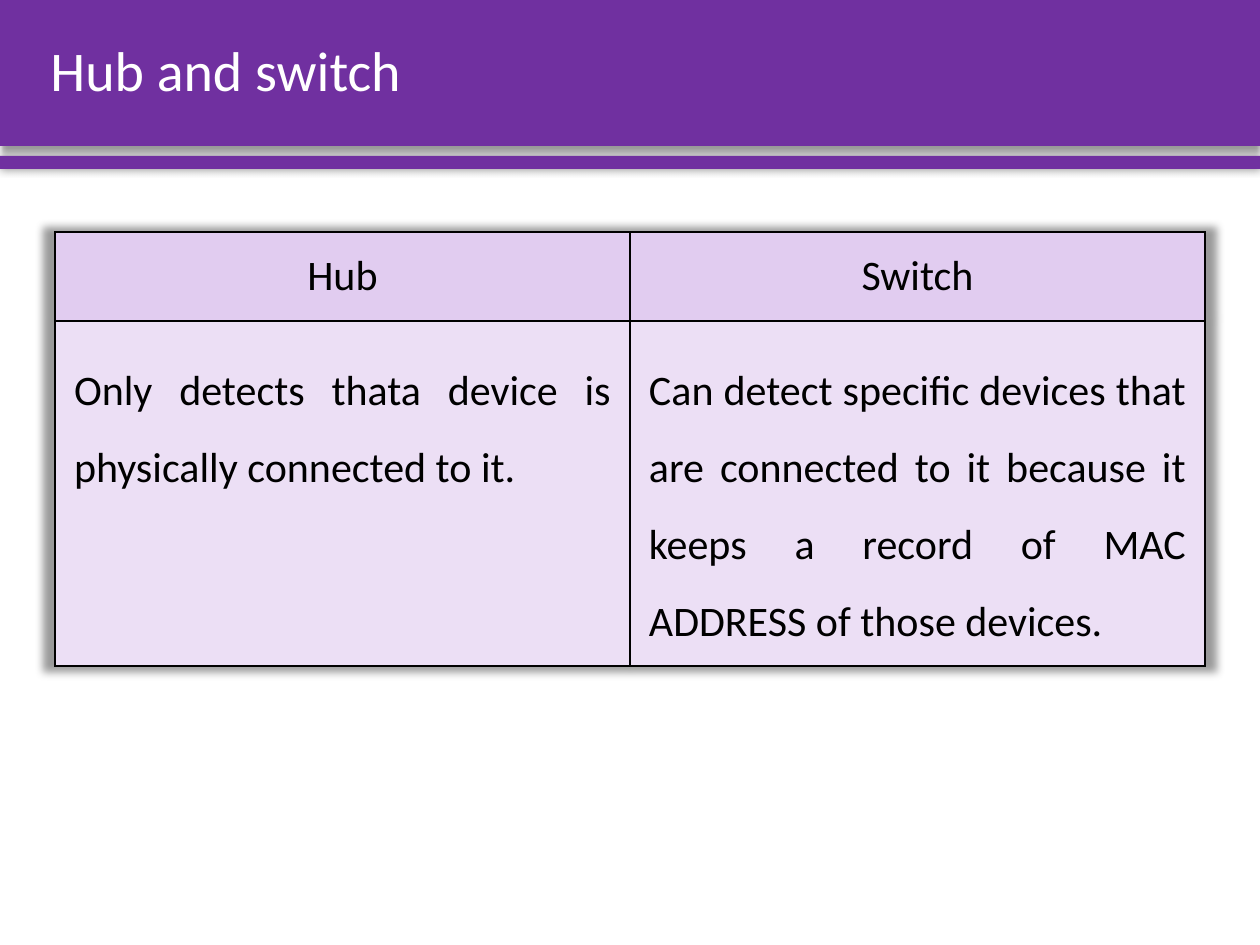
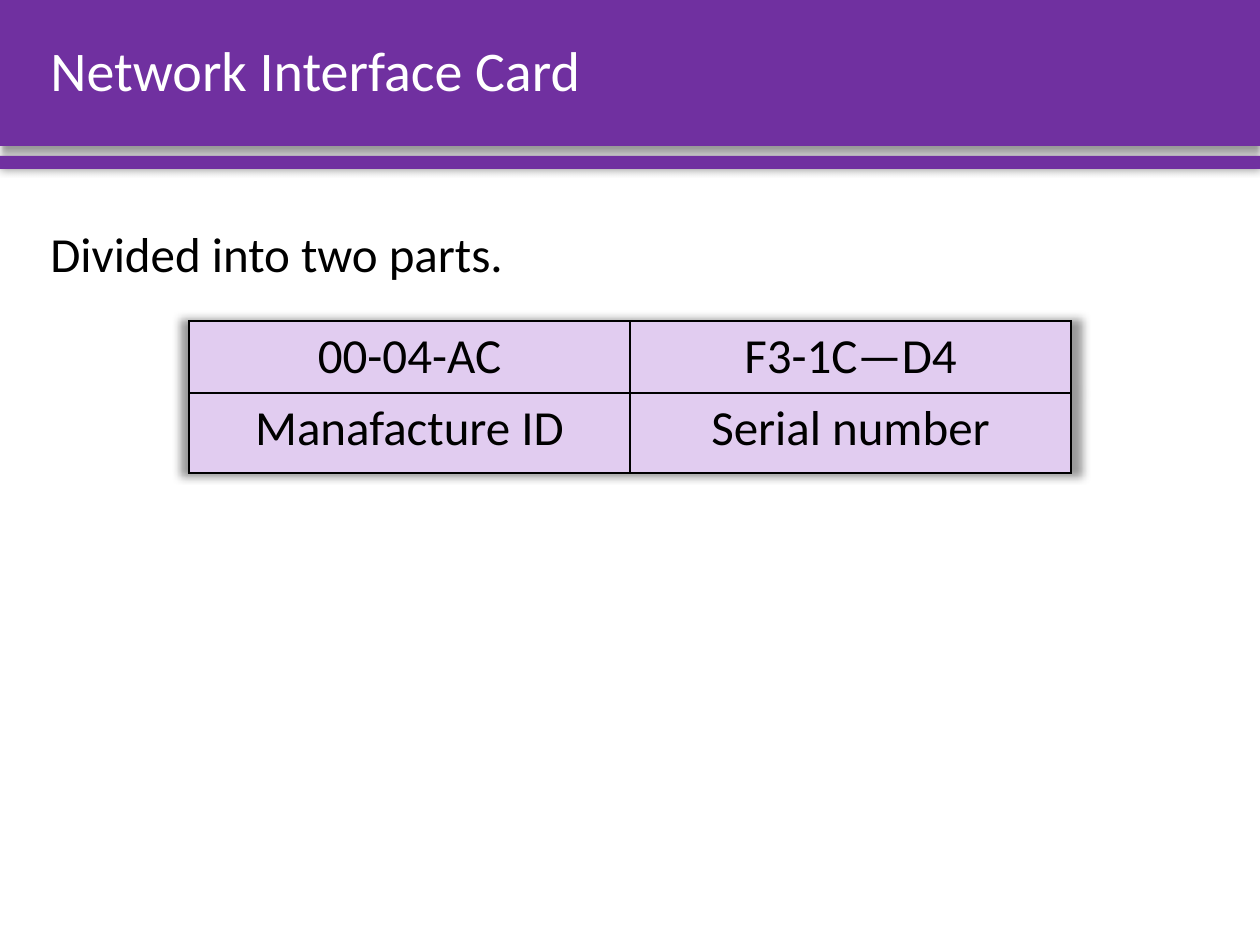
"""Builds two slides on hubs, switches and network interface cards."""
from lxml import etree
from pptx import Presentation
from pptx import util as u
from pptx.dml.color import RGBColor
from pptx.enum import shapes, text
from pptx.oxml.ns import qn

PX_PER_INCH = 126
FONT = "Calibri"
COLOURS = {
    "band": "7030A0",
    "title": "FFFFFF",
    "ink": "000000",
    "header": "E1CCF0",
    "cell": "ECDFF5",
}
LEFT, TEXT_WIDTH, BAND_HEIGHT = 38, 1192, 146
CENTRE, JUSTIFY = text.PP_ALIGN.CENTER, text.PP_ALIGN.JUSTIFY


def px(length):
    """Turn pixels into EMU."""
    return u.Inches(length / PX_PER_INCH)


def colour(name):
    """Return the named colour."""
    return RGBColor.from_string(COLOURS[name])


def add_shadow(effects, blur, distance=0, angle=0, scale=100):
    """Put a soft outer shadow in an effect list; blur and distance are points."""
    shadow = etree.SubElement(
        effects, qn("a:outerShdw"), blurRad=str(u.Pt(blur)), dist=str(u.Pt(distance)),
        dir=str(angle * 60000), sx=str(scale * 1000), sy=str(scale * 1000),
        algn="ctr", rotWithShape="0")
    ink = etree.SubElement(shadow, qn("a:srgbClr"), val=COLOURS["ink"])
    etree.SubElement(ink, qn("a:alpha"), val="40000")


def add_band(slide, top, height, **shadow):
    """Draw a full-width band with a shadow."""
    band = slide.shapes.add_shape(
        shapes.MSO_SHAPE.RECTANGLE, 0, px(top), px(10 * PX_PER_INCH), px(height))
    band.fill.solid()
    band.fill.fore_color.rgb = colour("band")
    band.line.fill.background()
    band.shadow.inherit = False
    add_shadow(band._element.spPr.find(qn("a:effectLst")), **shadow)


def write(frame, words, size, ink="ink", align=None, spacing=None):
    """Fill a text frame with one styled paragraph."""
    frame.text = words
    frame.word_wrap = True
    para = frame.paragraphs[0]
    para.alignment = align
    para.line_spacing = spacing
    for span in para.runs:
        span.font.name = FONT
        span.font.size = u.Pt(size)
        span.font.color.rgb = colour(ink)


def add_text(slide, top, height, words, size, **style):
    """Add a text box in the shared text column and return its frame."""
    box = slide.shapes.add_textbox(px(LEFT), px(top), px(TEXT_WIDTH), px(height))
    write(box.text_frame, words, size, **style)
    return box.text_frame


def add_titled_slide(deck, title):
    """Add a blank slide with the bands and the title."""
    slide = deck.slides.add_slide(deck.slide_layouts[6])
    add_band(slide, 0, BAND_HEIGHT, blur=4, distance=3, angle=90)
    add_band(slide, 156, 13, blur=5)
    frame = add_text(slide, 0, BAND_HEIGHT, title, 32, ink="title", spacing=0.9)
    frame.vertical_anchor = text.MSO_ANCHOR.MIDDLE
    return slide


def add_borders(cell):
    """Outline a cell on all sides, ahead of its fill."""
    properties = cell._tc.get_or_add_tcPr()
    for place, side in enumerate(("lnL", "lnR", "lnT", "lnB")):
        line = etree.Element(qn(f"a:{side}"), w=str(u.Pt(1)))
        fill = etree.SubElement(line, qn("a:solidFill"))
        etree.SubElement(fill, qn("a:srgbClr"), val=COLOURS["ink"])
        properties.insert(place, line)


def add_grid(slide, left, top, column_width, row_heights, rows, size, fills,
             body_style, margin=None):
    """Add a bordered table; the first row is centred, the others use body_style."""
    columns = len(rows[0])
    table = slide.shapes.add_table(
        len(rows), columns, px(left), px(top),
        px(column_width * columns), px(sum(row_heights))).table
    table.first_row = table.horz_banding = False
    effects = etree.Element(qn("a:effectLst"))
    table._tbl.tblPr.insert(0, effects)
    add_shadow(effects, blur=5, scale=102)
    for column in table.columns:
        column.width = px(column_width)
    for r, (height, entries) in enumerate(zip(row_heights, rows)):
        table.rows[r].height = px(height)
        for c, words in enumerate(entries):
            cell = table.cell(r, c)
            write(cell.text_frame, words, size,
                  **(body_style if r else {"align": CENTRE}))
            cell.fill.solid()
            cell.fill.fore_color.rgb = colour(fills[r])
            add_borders(cell)
            if margin:
                cell.margin_left = cell.margin_right = px(margin)
                cell.margin_top = cell.margin_bottom = px(margin)


def add_hub_slide(deck):
    """Compare a hub with a switch."""
    slide = add_titled_slide(deck, "Hub and switch")
    rows = [
        ("Hub", "Switch"),
        ("Only detects thata device is physically connected to it.",
         "Can detect specific devices that are connected to it because it "
         "keeps a record of MAC ADDRESS of those devices."),
    ]
    add_grid(slide, 55, 232, 575, (89, 345), rows, 24, ("header", "cell"),
             {"align": JUSTIFY, "spacing": 1.5}, margin=19)


def add_card_slide(deck):
    """Show the two parts of a card address."""
    slide = add_titled_slide(deck, "Network Interface Card")
    add_text(slide, 188, 164, "Divided into two parts.", 28,
             align=JUSTIFY, spacing=1.5)
    rows = [("00-04-AC", "F3-1C—D4"), ("Manafacture ID", "Serial number")]
    add_grid(slide, 189, 321, 441, (72, 80), rows, 28, ("header", "header"),
             {"align": CENTRE})


def main():
    """Build and save the deck."""
    deck = Presentation()
    deck.slide_width, deck.slide_height = u.Inches(10), u.Inches(7.5)
    add_hub_slide(deck)
    add_card_slide(deck)
    deck.save("out.pptx")


if __name__ == "__main__":
    main()
